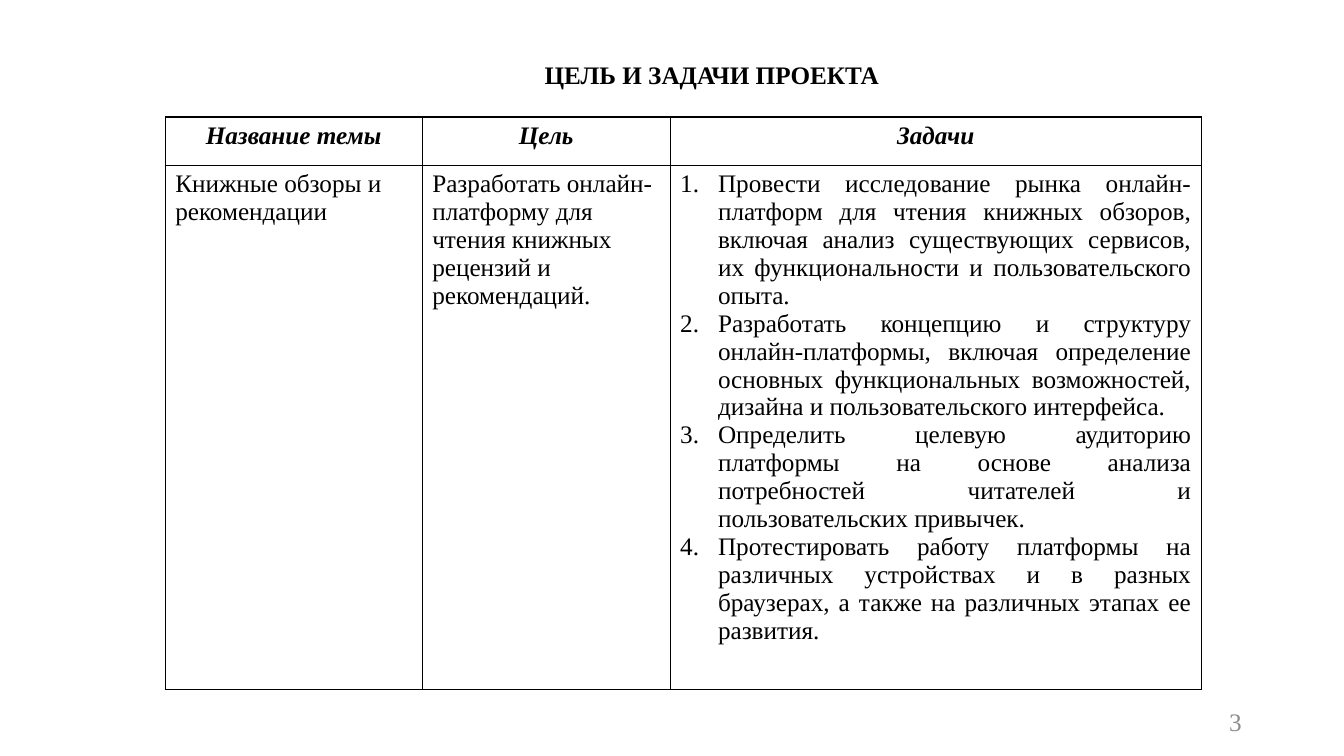
from lxml.etree import SubElement
from pptx import Presentation
from pptx.dml.color import RGBColor as RGB
from pptx.enum.text import MSO_ANCHOR as Anchor, MSO_AUTO_SIZE as Fit, PP_ALIGN as Align
from pptx.oxml.ns import qn
from pptx.util import Pt

COLORS = {"ink": "000000", "page": "8C8C8C"}
FONT = "Times New Roman"


def write(par, text, align, color="ink", bold=False, italic=False):
    par.alignment = align
    run = par.add_run()
    run.text = text
    font = run.font
    font.name, font.size = FONT, Pt(18)
    font.bold, font.italic = bold, italic
    font.color.rgb = RGB.from_string(COLORS[color])


def outline(cell):
    props = cell._tc.get_or_add_tcPr()
    for side in ("lnL", "lnR", "lnT", "lnB"):
        line = SubElement(props, qn("a:" + side), w=str(Pt(1)))
        fill = SubElement(line, qn("a:solidFill"))
        SubElement(fill, qn("a:srgbClr"), val=COLORS["ink"])
    cell.fill.background()


deck = Presentation()
deck.slide_width, deck.slide_height = Pt(960), Pt(540)
slide = deck.slides.add_slide(deck.slide_layouts[5])

# Title
title = slide.shapes.title
title.left, title.top, title.width, title.height = Pt(255), Pt(38.5), Pt(507), Pt(29)
frame = title.text_frame
frame.word_wrap = True
frame.auto_size = Fit.SHAPE_TO_FIT_TEXT
frame.vertical_anchor = Anchor.TOP
write(frame.paragraphs[0], "ЦЕЛЬ И ЗАДАЧИ ПРОЕКТА", Align.CENTER, bold=True)

# Table contents
heads = ["Название темы", "Цель", "Задачи"]
theme = "Книжные обзоры и рекомендации"
goal = "Разработать онлайн-платформу для чтения книжных рецензий и рекомендаций."
tasks = [
    "Провести исследование рынка онлайн-платформ для чтения книжных обзоров, "
    "включая анализ существующих сервисов, их функциональности и пользовательского опыта.",
    "Разработать концепцию и структуру онлайн-платформы, включая определение "
    "основных функциональных возможностей, дизайна и пользовательского интерфейса.",
    "Определить целевую аудиторию платформы на основе анализа потребностей "
    "читателей и пользовательских привычек.",
    "Протестировать работу платформы на различных устройствах и в разных "
    "браузерах, а также на различных этапах ее развития.",
]

# Table grid
widths, heights = [183.6, 177.1, 379.4], [34.5, 374.5]
holder = slide.shapes.add_table(2, 3, Pt(118), Pt(83.5), Pt(sum(widths)), Pt(sum(heights)))
table = holder.table
table.first_row = table.horz_banding = False
for col, width in zip(table.columns, widths):
    col.width = Pt(width)
for row, height in zip(table.rows, heights):
    row.height = Pt(height)
for cell in table.iter_cells():
    outline(cell)

# Header row and plain cells
for i, head in enumerate(heads):
    write(table.cell(0, i).text_frame.paragraphs[0], head, Align.CENTER, bold=True, italic=True)
for i, text in enumerate([theme, goal]):
    write(table.cell(1, i).text_frame.paragraphs[0], text, Align.LEFT)

# Numbered tasks
frame = table.cell(1, 2).text_frame
for i, task in enumerate(tasks):
    par = frame.add_paragraph() if i else frame.paragraphs[0]
    write(par, task, Align.JUSTIFY)
    props = par._p.get_or_add_pPr()
    props.set("marL", str(Pt(27)))
    props.set("indent", str(Pt(-27)))
    SubElement(props, qn("a:buFont"), typeface="+mj-lt")
    SubElement(props, qn("a:buAutoNum"), type="arabicPeriod")

# Page number
page = slide.shapes.add_textbox(Pt(678), Pt(500.5), Pt(216), Pt(29))
frame = page.text_frame
frame.word_wrap = True
frame.vertical_anchor = Anchor.MIDDLE
write(frame.paragraphs[0], "3", Align.RIGHT, color="page")

deck.save("out.pptx")
